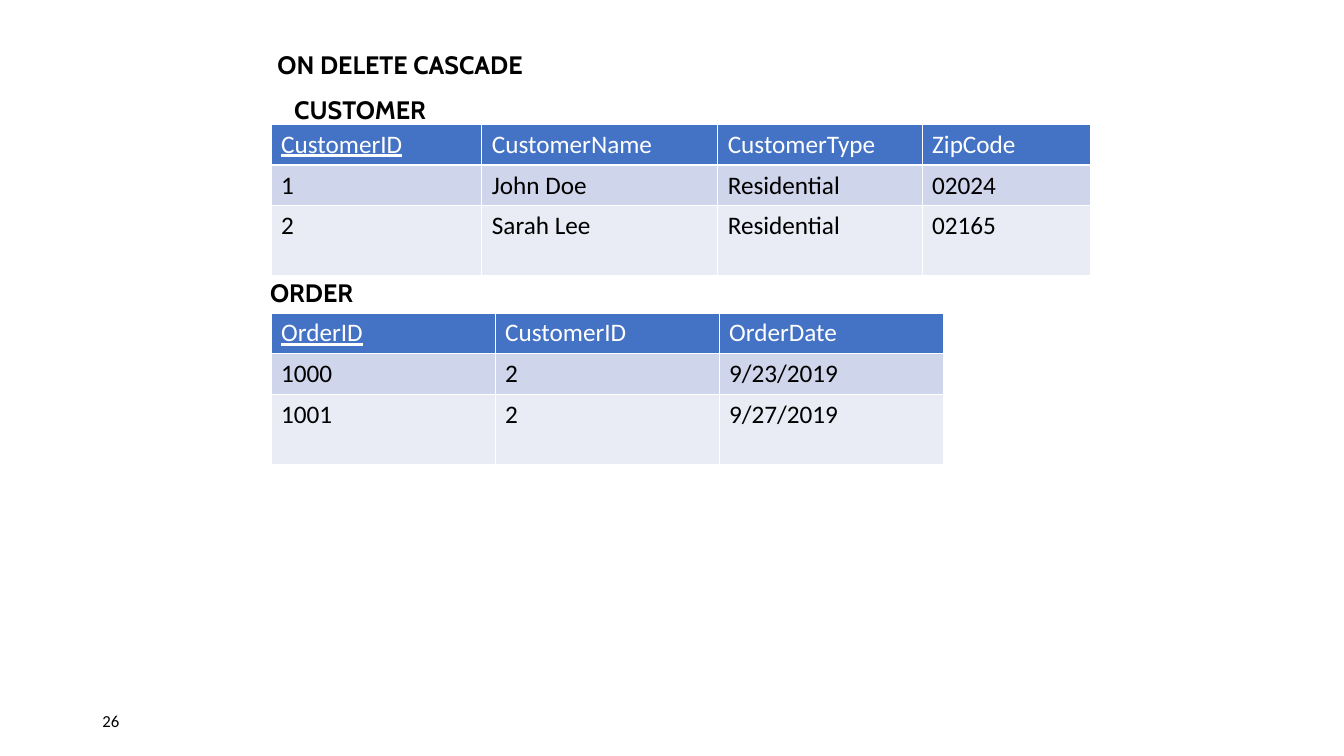
from pptx import Presentation
from pptx.dml.color import RGBColor
from pptx.enum.text import MSO_ANCHOR, PP_ALIGN
from pptx.util import Pt

BLACK = RGBColor(0x00, 0x00, 0x00)
WHITE = RGBColor(0xFF, 0xFF, 0xFF)
HEADER_BLUE = RGBColor(0x44, 0x72, 0xC4)
BAND_DARK = RGBColor(0xCF, 0xD5, 0xEA)
BAND_LIGHT = RGBColor(0xE9, 0xEB, 0xF5)

ROW_FILLS = [HEADER_BLUE, BAND_DARK, BAND_LIGHT]
ROW_HEIGHTS = [29.25, 29.25, 50]
LABEL_HEIGHT = 29
TABLE_LEFT = 193.7

CUSTOMERS = [
    ["CustomerID", "CustomerName", "CustomerType", "ZipCode"],
    ["1", "John Doe", "Residential", "02024"],
    ["2", "Sarah Lee", "Residential", "02165"],
]
ORDERS = [
    ["OrderID", "CustomerID", "OrderDate"],
    ["1000", "2", "9/23/2019"],
    ["1001", "2", "9/27/2019"],
]


def write(tf, text, font, size, color=BLACK, bold=False):
    tf.text = text
    p = tf.paragraphs[0]
    p.alignment = PP_ALIGN.LEFT
    p.font.name = font
    p.font.size = Pt(size)
    p.font.bold = bold
    p.font.color.rgb = color
    return p


def add_text(slide, text, left, top, width, height, font, size, bold=False):
    tf = slide.shapes.add_textbox(Pt(left), Pt(top), Pt(width), Pt(height)).text_frame
    tf.word_wrap = True
    write(tf, text, font, size, bold=bold)
    return tf


def set_title(slide, text, left, top, width, height):
    title = slide.shapes.title
    title.left, title.top = Pt(left), Pt(top)
    title.width, title.height = Pt(width), Pt(height)
    title.text_frame.vertical_anchor = MSO_ANCHOR.TOP
    write(title.text_frame, text, "Cabin", 18, bold=True)


def add_relation(slide, name, rows, left, top, col_widths, label_dx, label_dy):
    """Add a table at left, top with its name offset from that corner."""
    frame = slide.shapes.add_table(
        len(rows), len(col_widths), Pt(left), Pt(top),
        Pt(sum(col_widths)), Pt(sum(ROW_HEIGHTS)))
    table = frame.table
    for column, width in zip(table.columns, col_widths):
        column.width = Pt(width)
    for i, values in enumerate(rows):
        table.rows[i].height = Pt(ROW_HEIGHTS[i])
        for j, value in enumerate(values):
            cell = table.cell(i, j)
            cell.fill.solid()
            cell.fill.fore_color.rgb = ROW_FILLS[i]
            p = write(cell.text_frame, value, "Calibri", 18,
                      WHITE if i == 0 else BLACK)
            # Primary key column
            p.font.underline = i == 0 and j == 0
    add_text(slide, name, left + label_dx, top + label_dy, 183, LABEL_HEIGHT,
             "Cabin", 18, bold=True)


def add_slide_number(slide, number, left, top, width, height):
    tf = add_text(slide, number, left, top, width, height, "Calibri", 12)
    tf.vertical_anchor = MSO_ANCHOR.MIDDLE


def main():
    prs = Presentation()
    prs.slide_width, prs.slide_height = Pt(960), Pt(540)
    slide = prs.slides.add_slide(prs.slide_layouts[5])

    # Heading
    set_title(slide, "ON DELETE CASCADE", 191, 31.7, 547, LABEL_HEIGHT)

    # Parent and child tables
    add_relation(slide, "CUSTOMER", CUSTOMERS, TABLE_LEFT, 88.6,
                 [150.5, 168.5, 146, 120], 9.4, -24.5)
    add_relation(slide, "ORDER", ORDERS, TABLE_LEFT, 223.5,
                 [160] * 3, -7.9, -29)

    # Footer
    add_slide_number(slide, "26", 66, 500.5, 216, 28.75)

    prs.save("out.pptx")


if __name__ == "__main__":
    main()
